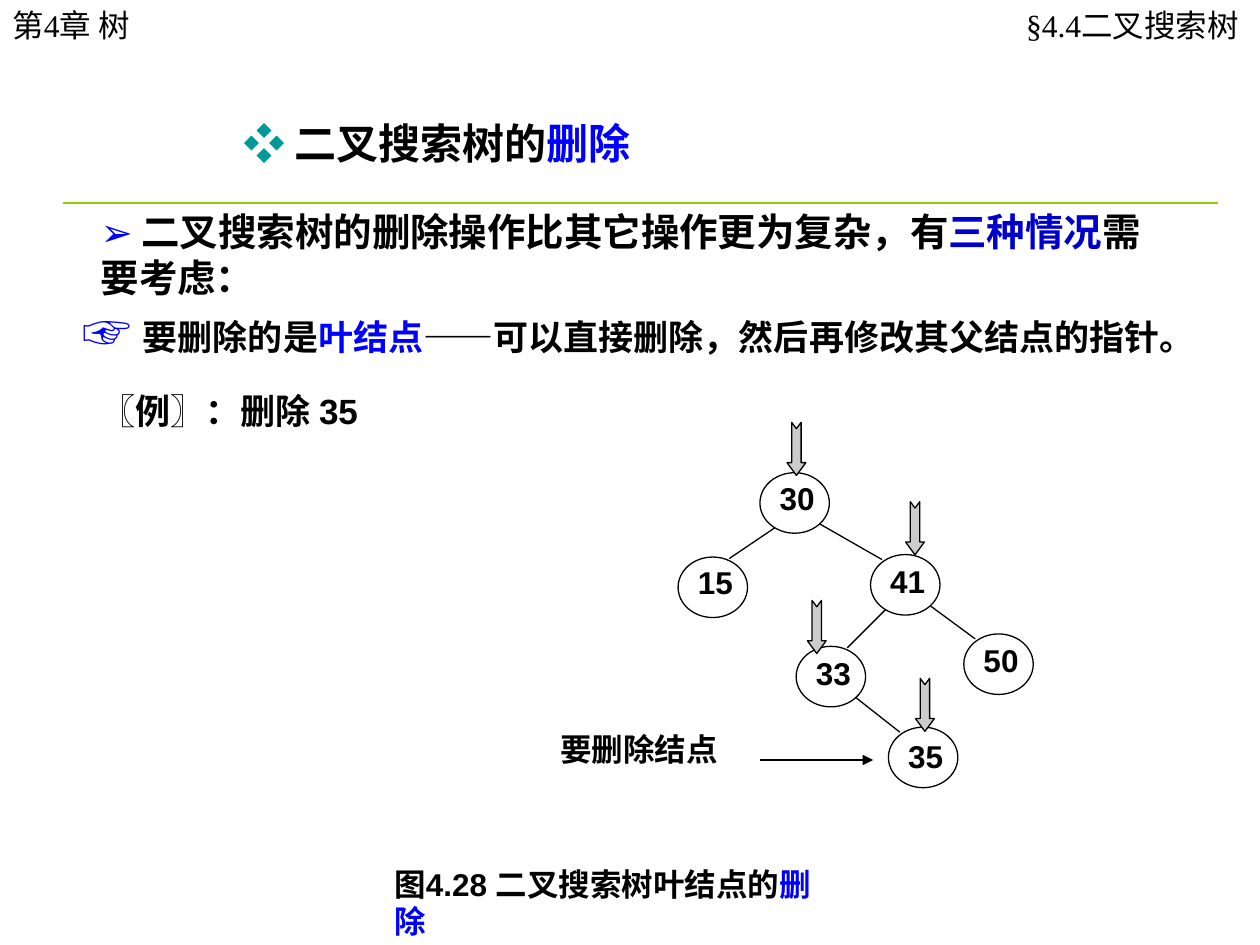
from lxml.etree import SubElement
from pptx import Presentation
from pptx.dml.color import RGBColor
from pptx.enum.shapes import MSO_CONNECTOR, MSO_SHAPE
from pptx.enum.text import MSO_ANCHOR, PP_ALIGN
from pptx.oxml.ns import qn
from pptx.util import Cm, Pt

COLORS = {"black": "000000", "white": "FFFFFF", "blue": "0000FF", "navy": "0000CC",
          "teal": "009999", "green": "99CC00", "gray": "CCCCCC"}
INSET = (0.25, 0.13, 0.25, 0.13)
NO_INSET = (0, 0, 0, 0)
HEADING = {"name": "Arial", "bold": True}
RUNNING = {"name": "Times New Roman", "bold": False}
NOTE = {"name": "Noto Sans CJK SC", "bold": True}

# box, font, format, runs of (text, size, color)
TEXTS = [
    ((4.65, 2.24, 8.36, 1.27), HEADING, {}, [
        ("❖ ", 24, "teal"), ("二叉搜索树的", 24, "black"), ("删除", 24, "blue")]),
    ((0, 0, 5.31, 1.02), RUNNING, {}, [("第4章 树", 18, "black")]),
    ((15.7, 0, 9.68, 1.02), RUNNING,
     {"align": PP_ALIGN.RIGHT, "inset": (0.3, 0.13, 0.41, 0.13)},
     [("§4.4二叉搜索树", 18, "black")]),
    ((1.78, 4.06, 21.87, 2.13), HEADING, {}, [
        ("➢ ", 22, "blue"), ("二叉搜索树的删除操作比其它操作更为复杂，有", 22, "black"),
        ("三种情况", 22, "navy"), ("需要考虑：", 22, "black")]),
    ((1.42, 5.94, 22.63, 1.45), HEADING, {"hanging": 0.97}, [
        ("☞ ", 28, "blue"), ("要删除的是", 20, "black"), ("叶结点", 20, "blue"),
        ("——可以直接删除，然后再修改其父结点的指针。", 20, "black")]),
    ((7.7, 17.3, 9.5, 1.02), HEADING, {}, [
        ("图4.28 二叉搜索树叶结点的", 18, "black"), ("删除", 18, "blue")]),
    ((10.52, 14.71, 4.72, 1.37), NOTE,
     {"align": PP_ALIGN.CENTER, "inset": NO_INSET}, [("要删除结点", 18, "black")]),
    ((1.78, 7.72, 5.72, 1.12), HEADING, {}, [("〖例〗：删除 35", 20, "black")]),
]

# key: left, top, label drop
NODES = {
    30: (15.32, 9.53, 0.18),
    15: (13.67, 11.23, 0.18),
    41: (17.55, 11.18, 0.2),
    33: (16.05, 13.03, 0.2),
    50: (19.43, 12.78, 0.2),
    35: (17.91, 14.66, 0.25),
}
NODE_SIZE = (1.4, 1.22)
LABEL_LEFT = 0.37
LABEL_SIZE = (0.76, 0.71)

# parent, child
EDGES = [(30, 15), (30, 41), (41, 33), (41, 50), (33, 35)]
EDGE_START = {"left": (0.3, 1.11), "right": (1.2, 1.03)}
EDGE_END = {"left": (1.03, 0.03), "right": (0.23, 0.1)}

SEARCH_ARROWS = [(15.52, 8.86), (17.91, 10.46), (15.93, 12.45), (18.11, 14.02)]
ARROW_SIZE = (1.07, 0.38)
ARROW_ADJUSTMENTS = (0.5, 0.677)
TITLE_RULE = ((1.27, 4.09), (24.56, 4.09))
TARGET_POINTER = ((15.32, 15.32), (17.6, 15.32))


def color(name):
    return RGBColor.from_string(COLORS[name])


def add_text(slide, box, font, runs, align=PP_ALIGN.LEFT, inset=INSET,
             hanging=0, spacing=None):
    textbox = slide.shapes.add_textbox(*map(Cm, box))
    frame = textbox.text_frame
    sides = ("margin_left", "margin_top", "margin_right", "margin_bottom")
    frame_format = {"word_wrap": True, "vertical_anchor": MSO_ANCHOR.TOP,
                    **dict(zip(sides, map(Cm, inset)))}
    for attribute, value in frame_format.items():
        setattr(frame, attribute, value)
    paragraph = frame.paragraphs[0]
    paragraph.alignment = align
    if spacing:
        paragraph.line_spacing = spacing
    if hanging:
        properties = paragraph._p.get_or_add_pPr()
        properties.set("marL", str(Cm(hanging)))
        properties.set("indent", str(-Cm(hanging)))
    for words, size, tint in runs:
        run = paragraph.add_run()
        run.text = words
        for attribute, value in {**font, "size": Pt(size)}.items():
            setattr(run.font, attribute, value)
        run.font.color.rgb = color(tint)


def add_line(slide, start, end, tint="black", width=0.75, arrow=False):
    line = slide.shapes.add_connector(MSO_CONNECTOR.STRAIGHT, *map(Cm, start + end))
    line.line.color.rgb = color(tint)
    line.line.width = Pt(width)
    if arrow:
        SubElement(line.line._get_or_add_ln(), qn("a:tailEnd"), type="triangle")
    SubElement(line._element.spPr, qn("a:effectLst"))


def add_outlined(slide, kind, place, size, fill):
    shape = slide.shapes.add_shape(kind, *map(Cm, place + size))
    shape.shadow.inherit = False
    shape.fill.solid()
    shape.fill.fore_color.rgb = color(fill)
    shape.line.color.rgb = color("black")
    shape.line.width = Pt(0.75)
    return shape


def add_tree(slide):
    for key, (left, top, drop) in NODES.items():
        add_outlined(slide, MSO_SHAPE.OVAL, (left, top), NODE_SIZE, "white")
        add_text(slide, (left + LABEL_LEFT, top + drop) + LABEL_SIZE, HEADING,
                 [(str(key), 18, "black")], PP_ALIGN.CENTER, NO_INSET, spacing=0.96)
    for parent, child in EDGES:
        side = "left" if child < parent else "right"
        start, end = (
            (NODES[key][0] + dx, NODES[key][1] + dy)
            for key, (dx, dy) in ((parent, EDGE_START[side]), (child, EDGE_END[side])))
        add_line(slide, start, end)
    for place in SEARCH_ARROWS:
        arrow = add_outlined(slide, MSO_SHAPE.NOTCHED_RIGHT_ARROW, place, ARROW_SIZE, "gray")
        arrow.rotation = 90
        for index, value in enumerate(ARROW_ADJUSTMENTS):
            arrow.adjustments[index] = value


def main():
    deck = Presentation()
    deck.slide_width, deck.slide_height = Cm(25.4), Cm(19.05)
    slide = deck.slides.add_slide(deck.slide_layouts[6])
    add_line(slide, *TITLE_RULE, tint="green", width=1.5)
    for box, font, layout, runs in TEXTS:
        add_text(slide, box, font, runs, **layout)
    add_tree(slide)
    add_line(slide, *TARGET_POINTER, arrow=True)
    deck.save("out.pptx")


if __name__ == "__main__":
    main()
